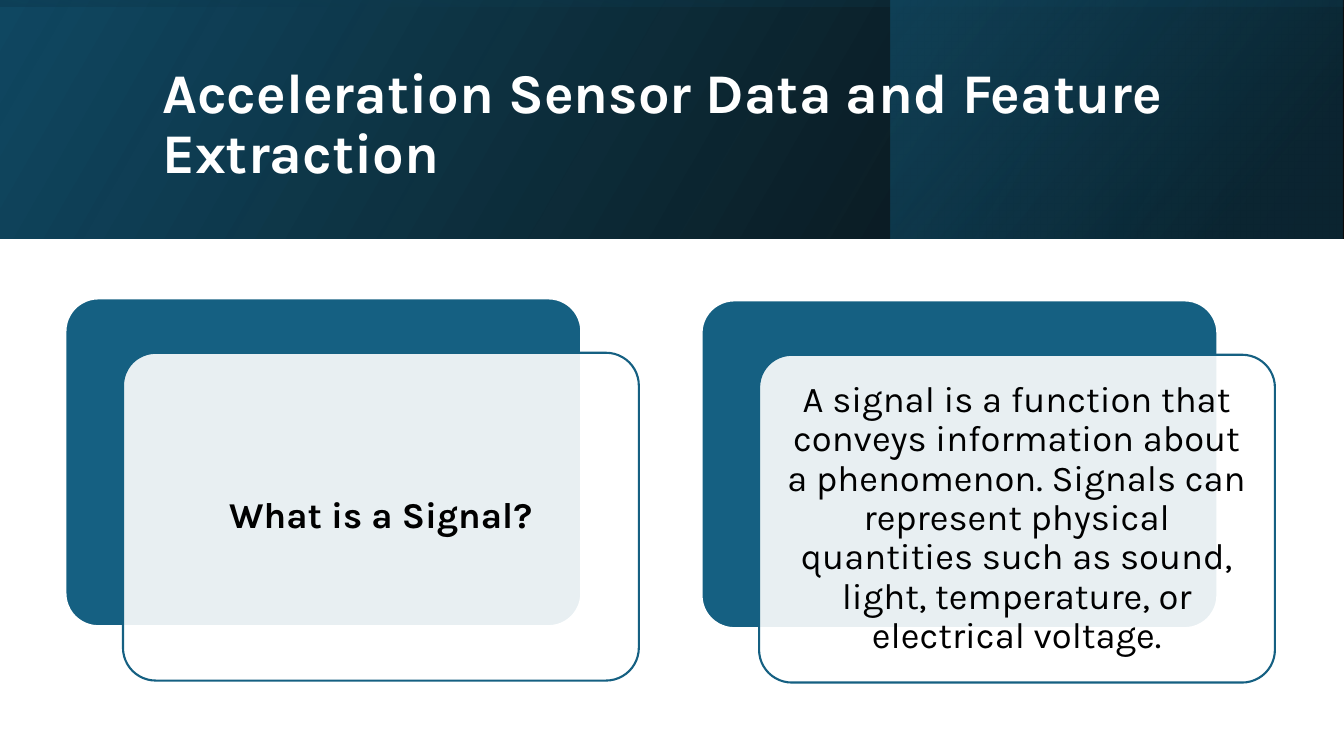
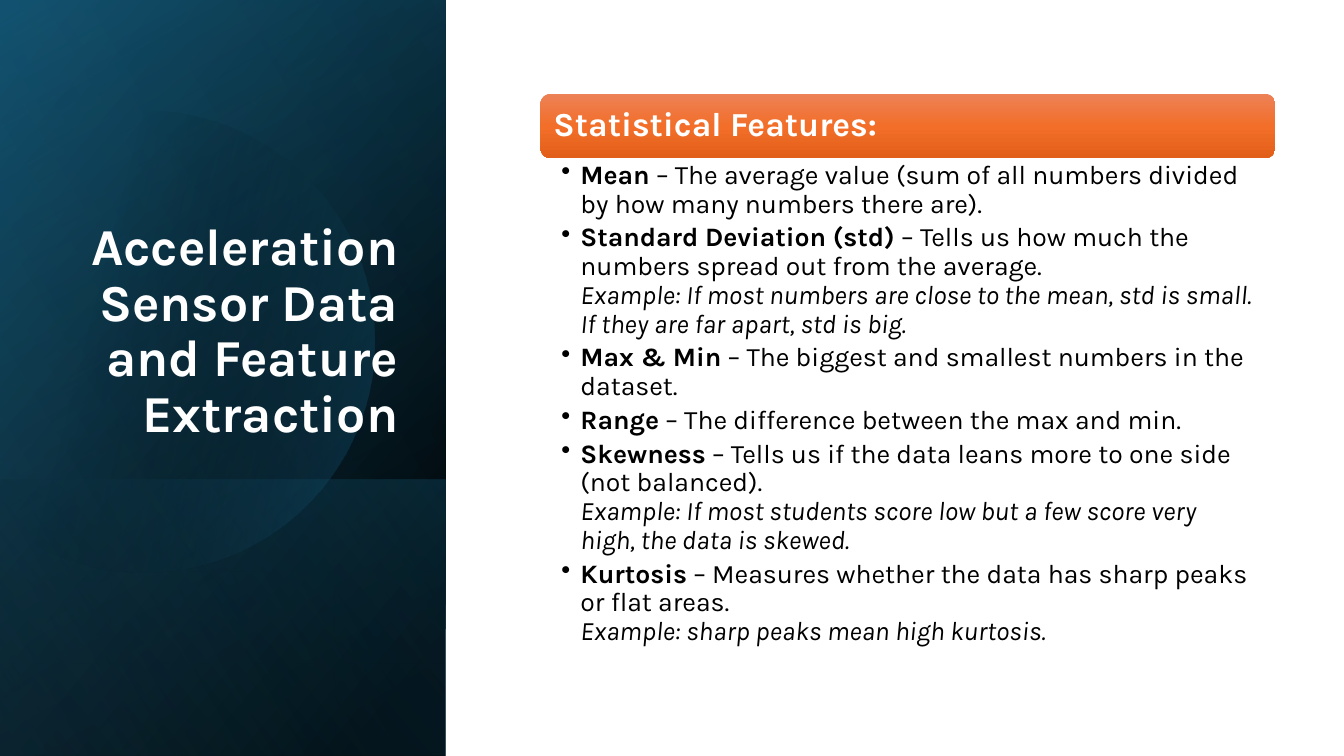
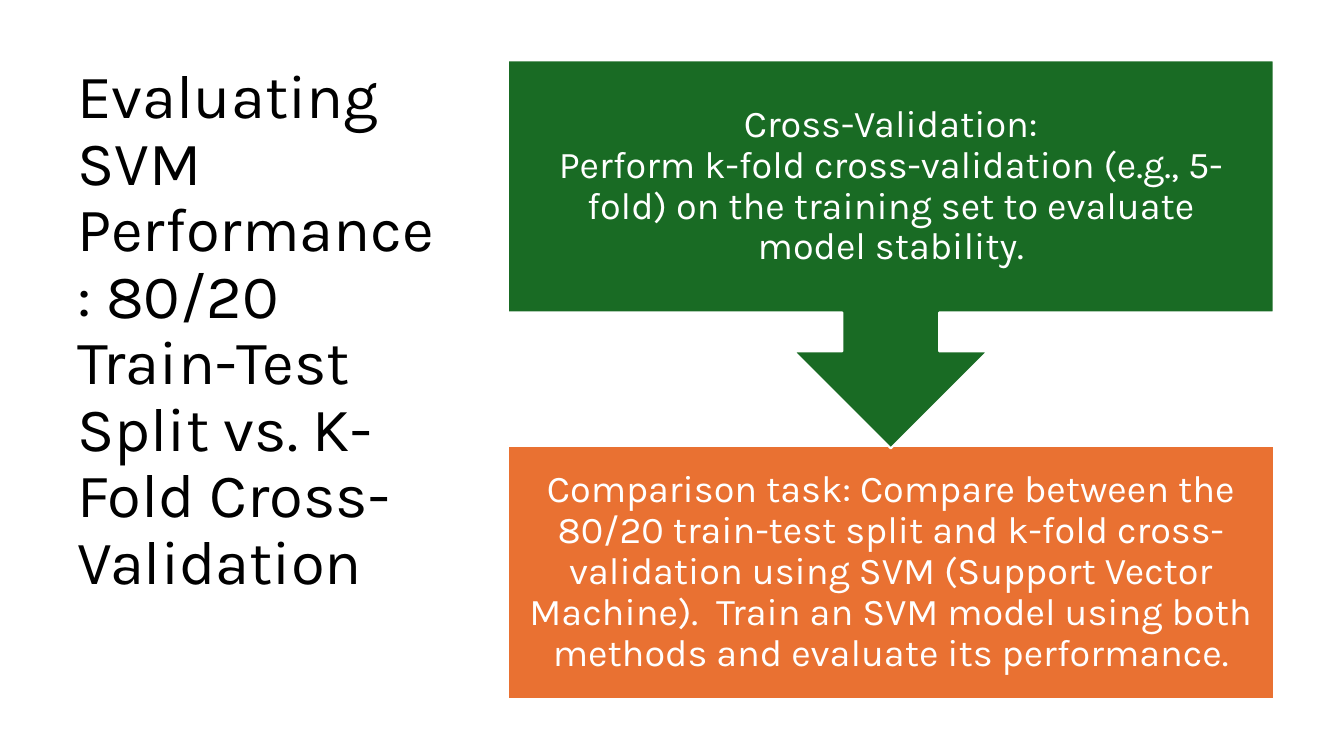
from math import acos, cos, sin

from lxml.etree import SubElement
from pptx import Presentation
from pptx.dml.color import RGBColor
from pptx.enum.shapes import MSO_SHAPE as Kind
from pptx.enum.text import MSO_ANCHOR as Anchor, PP_ALIGN as Align
from pptx.oxml.ns import qn
from pptx.util import Cm, Pt

# Shared look
FONT = "Karla"
WHITE, BLACK = "FFFFFF", "000000"
TEAL, NAVY, SKY = "156082", "104862", "46B1E1"
GREEN, ORANGE = "196B24", "E97132"
WIDE, HIGH = 33.87, 19.05
BAND = 6.02   # height of the top band
SIDE = 11.23  # width of the side panel
TOPIC = "Acceleration Sensor Data and Feature Extraction"

FEATURES = [
    ("Mean", "The average value (sum of all numbers divided by how many "
     "numbers there are).", ""),
    ("Standard Deviation (std)", "Tells us how much the numbers spread out "
     "from the average.", "Example: If most numbers are close to the mean, "
     "std is small. If they are far apart, std is big."),
    ("Max & Min", "The biggest and smallest numbers in the dataset.", ""),
    ("Range", "The difference between the max and min.", ""),
    ("Skewness", "Tells us if the data leans more to one side (not "
     "balanced).", "Example: If most students score low but a few score "
     "very high, the data is skewed."),
    ("Kurtosis", "Measures whether the data has sharp peaks or flat areas.",
     "Example: sharp peaks mean high kurtosis."),
]


def color(code):
    return RGBColor.from_string(code)


# Fills and lines
def fade(shape, stops, angle):
    """Fill with (position, colour, opacity) stops, all in percent."""
    shape.fill.gradient()
    shape.fill.gradient_angle = (360 - angle) % 360
    ramp = shape._element.spPr.find(qn("a:gradFill")).find(qn("a:gsLst"))
    ramp.clear()
    for pos, code, alpha in stops:
        stop = SubElement(ramp, qn("a:gs"), pos=str(pos * 1000))
        tint = SubElement(stop, qn("a:srgbClr"), val=code)
        SubElement(tint, qn("a:alpha"), val=str(alpha * 1000))


def paint(shape, fill, line, alpha=100):
    shape.fill.solid()
    shape.fill.fore_color.rgb = color(fill)
    if alpha < 100:
        tint = shape._element.spPr.find(qn("a:solidFill"))[0]
        SubElement(tint, qn("a:alpha"), val=str(alpha * 1000))
    shape.line.color.rgb = color(line)
    shape.line.width = Pt(1.5)


# Shapes
def add(slide, kind, x, y, w, h):
    shape = slide.shapes.add_shape(kind, Cm(x), Cm(y), Cm(w), Cm(h))
    shape.shadow.inherit = False
    return shape


def panel(slide, x, y, w, h, stops, angle, turn=0):
    """Mirrored gradient panel; the box is the area seen after turning."""
    if turn % 180:
        x, y, w, h = x + (w - h) / 2, y + (h - w) / 2, h, w
    shape = add(slide, Kind.RECTANGLE, x, y, w, h)
    shape.rotation = turn
    shape._element.spPr.find(qn("a:xfrm")).set("flipH", "1")
    shape.line.fill.background()
    fade(shape, stops, angle)


def disc(slide, x, y, radius, stops, angle, steps=90):
    """Circle cut off at the left edge of the slide."""
    end = acos(-x / radius)
    turns = [end * (2 * i / steps - 1) for i in range(steps + 1)]
    dots = [(Cm(x + radius * cos(t)), Cm(y + radius * sin(t))) for t in turns]
    form = slide.shapes.build_freeform(*dots[0])
    form.add_line_segments(dots[1:], close=True)
    shape = form.convert_to_shape()
    shape.shadow.inherit = False
    shape.line.fill.background()
    fade(shape, stops, angle)


# Text
def style(run, size, code, bold=False, italic=False):
    font = run.font
    font.name, font.size = FONT, Pt(size)
    font.bold, font.italic = bold, italic
    font.color.rgb = color(code)


def setup(shape, sides, ends, anchor):
    frame = shape.text_frame
    frame.word_wrap = True
    frame.vertical_anchor = anchor
    frame.margin_left = frame.margin_right = Cm(sides)
    frame.margin_top = frame.margin_bottom = Cm(ends)
    return frame


def write(shape, text, size, code, bold=False, align=Align.CENTER,
          anchor=Anchor.MIDDLE, sides=0.25, ends=0.25):
    frame = setup(shape, sides, ends, anchor)
    frame.text = text
    for para in frame.paragraphs:
        para.alignment = align
        para.line_spacing = 0.9
        for run in para.runs:
            style(run, size, code, bold)


def box(slide, x, y, w, h):
    return slide.shapes.add_textbox(Cm(x), Cm(y), Cm(w), Cm(h))


def title(slide, area, text, size, code, bold=True, align=Align.LEFT,
          anchor=Anchor.MIDDLE):
    write(box(slide, *area), text, size, code, bold, align, anchor, ends=0.13)


def card(slide, x, y, text, bold=False):
    """Teal plate with a pale sheet laid over it, moved right and down."""
    w, h = 13, 8.26
    plate = add(slide, Kind.ROUNDED_RECTANGLE, x, y, w, h)
    paint(plate, TEAL, WHITE)
    sheet = add(slide, Kind.ROUNDED_RECTANGLE, x + 1.45, y + 1.37, w, h)
    paint(sheet, WHITE, TEAL, alpha=90)
    for shape in (plate, sheet):
        shape.adjustments[0] = 0.1
    write(sheet, text, 26, BLACK, bold, sides=0.28, ends=0.28)


def bullets(slide, area, items, size):
    frame = setup(box(slide, *area), 0.53, 0.08, Anchor.TOP)
    for i, (name, note, sample) in enumerate(items):
        para = frame.paragraphs[0] if i == 0 else frame.add_paragraph()
        props = para._p.get_or_add_pPr()
        props.set("marL", str(Cm(0.48)))
        props.set("indent", str(-Cm(0.48)))
        SubElement(props, qn("a:buChar"), char="•")
        para.line_spacing = 0.9
        para.space_after = Pt(3.6)
        parts = [(name, True, False), (f" – {note}", False, False)]
        if sample:
            parts.append((sample, False, True))
        for text, bold, italic in parts:
            if italic:
                para.add_line_break()
            run = para.add_run()
            run.text = text
            style(run, size, BLACK, bold, italic)


# Slides
def signal(slide):
    panel(slide, 0, 0, WIDE, BAND, [(0, BLACK, 96), (100, NAVY, 100)], 330)
    panel(slide, 22.45, 0, 11.38, BAND,
          [(19, "0B3041", 68), (100, TEAL, 48)], 320)
    panel(slide, 0, 0, WIDE, BAND,
          [(23, NAVY, 16), (99, BLACK, 45)], 350, 270)
    title(slide, (3.84, 0.97, 27, 4.37), TOPIC, 40, WHITE)
    card(slide, 1.65, 7.52, "What is a Signal?", bold=True)
    card(slide, 17.68, 7.57,
         "A signal is a function that conveys information about a "
         "phenomenon. Signals can represent physical quantities such as "
         "sound, light, temperature, or electrical voltage.")


def stats(slide):
    full, foot = (0, 0, SIDE, HIGH), (0, 12.09, SIDE, 6.96)
    panel(slide, *full, [(8, BLACK, 100), (100, NAVY, 100)], 50, 90)
    panel(slide, *full, [(0, BLACK, 0), (99, TEAL, 46)], 30, 90)
    panel(slide, *foot, [(2, TEAL, 29), (100, BLACK, 30)], 130, 90)
    disc(slide, 3.63, 8.61, 5.82, [(29, BLACK, 0), (100, TEAL, 43)], 14)
    panel(slide, *full, [(0, BLACK, 0), (99, SKY, 11)], 120, 90)
    title(slide, (1.63, 4.67, 8.66, 6.65), TOPIC, 37, WHITE,
          align=Align.RIGHT, anchor=Anchor.BOTTOM)
    head = add(slide, Kind.ROUNDED_RECTANGLE, 13.62, 2.36, 18.52, 1.63)
    head.line.fill.background()
    fade(head, [(0, "ED8257", 100), (50, "F26E29", 100),
                (100, "E25F1A", 100)], 90)
    write(head, "Statistical Features:", 24, WHITE, True, Align.LEFT)
    bullets(slide, (13.62, 3.99, 18.52, 12.98), FEATURES, 19)


def split(slide):
    title(slide, (1.7, 1.52, 9.7, 16.08),
          "Evaluating SVM Performance: 80/20 Train-Test Split vs. "
          "K-Fold Cross-Validation", 44, BLACK, bold=False,
          anchor=Anchor.TOP)
    steps = [
        (Kind.RECTANGLE, 11.23, 6.38, ORANGE,
         "Comparison task: Compare between the 80/20 train-test split and "
         "k-fold cross-validation using SVM (Support Vector Machine).  "
         "Train an SVM model using both methods and evaluate its "
         "performance."),
        (Kind.DOWN_ARROW_CALLOUT, 1.52, 9.78, GREEN,
         "Cross-Validation:\vPerform k-fold cross-validation (e.g., 5-fold) "
         "on the training set to evaluate model stability."),
    ]
    for kind, y, h, fill, text in steps:
        shape = add(slide, kind, 12.8, y, 19.3, h)
        paint(shape, fill, WHITE)
        write(shape, text, 27, WHITE, sides=0.53, ends=0.53)


def main():
    deck = Presentation()
    deck.slide_width, deck.slide_height = Cm(WIDE), Cm(HIGH)
    for build in (signal, stats, split):
        build(deck.slides.add_slide(deck.slide_layouts[6]))
    deck.save("out.pptx")


if __name__ == "__main__":
    main()
